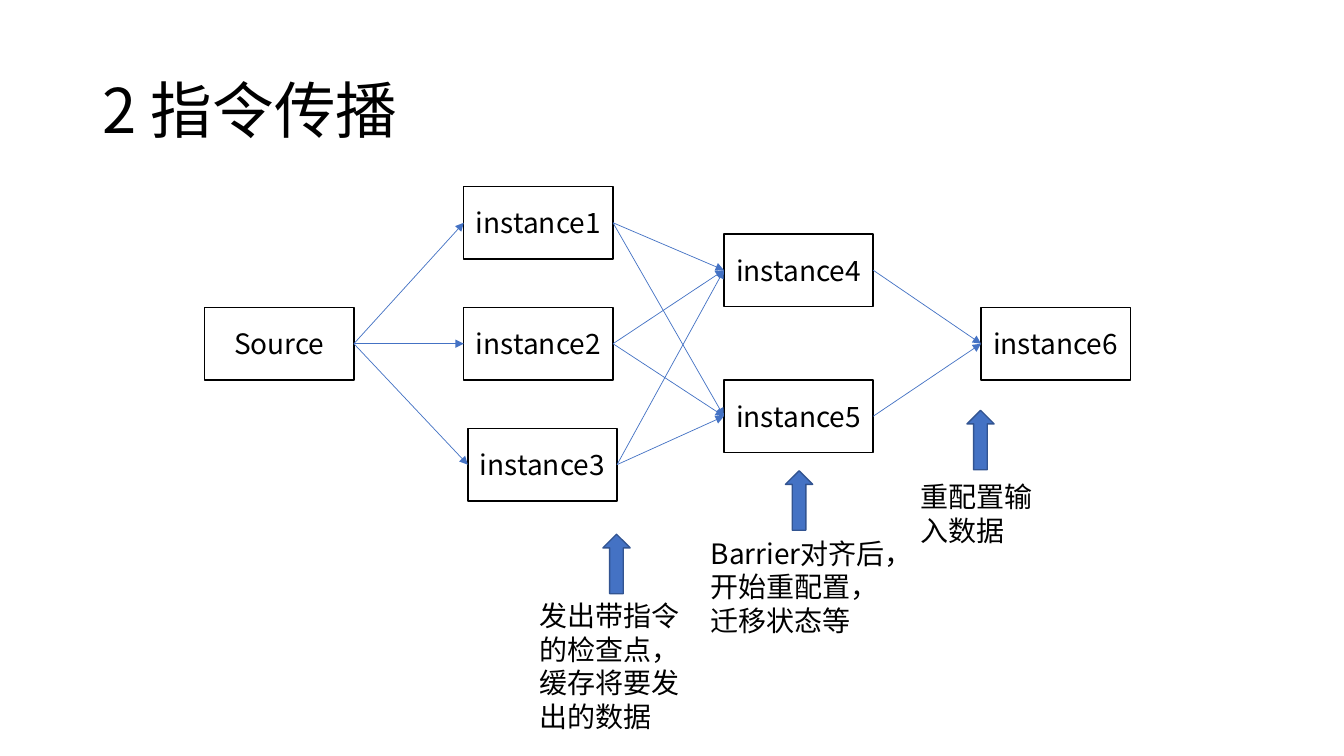
from dataclasses import dataclass

from lxml import etree
from pptx import Presentation
from pptx import util as u
from pptx.dml.color import RGBColor
from pptx.enum import shapes, text
from pptx.oxml import ns
from pptx.shapes.autoshape import Shape
from pptx.shapes.connector import Connector
from pptx.slide import Slide

FONT = "Noto Sans CJK SC"
COLORS = {"paper": "FFFFFF", "ink": "000000", "flow": "4472C4", "marker_edge": "325491"}
NODE_WIDTH, NODE_HEIGHT = 1.48, 0.72
MARKER_WIDTH, MARKER_HEIGHT = 0.27, 0.59
LEFT_SITE, RIGHT_SITE = 1, 3


@dataclass
class Node:
    label: str
    left: float
    top: float


@dataclass
class Step:
    caption: str
    left: float
    top: float
    width: float
    height: float
    marker_left: float
    marker_top: float


STAGES = [
    [Node("Source", 2.03, 3.05)],
    [Node("instance1", 4.6, 1.85), Node("instance2", 4.6, 3.05), Node("instance3", 4.64, 4.25)],
    [Node("instance4", 7.18, 2.32), Node("instance5", 7.18, 3.77)],
    [Node("instance6", 9.73, 3.05)],
]
STEPS = [
    Step("发出带指令的检查点，缓存将要发出的数据", 5.25, 5.89, 1.67, 1.43, 5.98, 5.3),
    Step("Barrier对齐后，开始重配置，迁移状态等", 6.95, 5.27, 2.06, 1.1, 7.79, 4.67),
    Step("重配置输入数据", 9.03, 4.71, 1.58, 0.77, 9.59, 4.07),
]


def color(name: str) -> RGBColor:
    return RGBColor.from_string(COLORS[name])


def write(shape: Shape, content: str, *, size: float = 20,
          align: text.PP_ALIGN = text.PP_ALIGN.LEFT,
          anchor: text.MSO_ANCHOR = text.MSO_ANCHOR.TOP, spacing: float = 1.0) -> None:
    frame = shape.text_frame
    frame.word_wrap = True
    frame.vertical_anchor = anchor
    paragraph = frame.paragraphs[0]
    paragraph.alignment = align
    paragraph.line_spacing = spacing
    run = paragraph.add_run()
    run.text = content
    run.font.size = u.Pt(size)
    run.font.name = FONT
    run.font.color.rgb = color("ink")
    etree.SubElement(run.font._element, ns.qn("a:ea"), typeface=FONT)


def add_block(slide: Slide, kind: shapes.MSO_SHAPE, left: float, top: float,
              width: float, height: float, fill: str, edge: str) -> Shape:
    block = slide.shapes.add_shape(
        kind, u.Inches(left), u.Inches(top), u.Inches(width), u.Inches(height))
    block.shadow.inherit = False
    block.fill.solid()
    block.fill.fore_color.rgb = color(fill)
    block.line.color.rgb = color(edge)
    block.line.width = u.Pt(1)
    return block


def add_node(slide: Slide, node: Node) -> Shape:
    box = add_block(slide, shapes.MSO_SHAPE.RECTANGLE, node.left, node.top,
                    NODE_WIDTH, NODE_HEIGHT, "paper", "ink")
    write(box, node.label, align=text.PP_ALIGN.CENTER, anchor=text.MSO_ANCHOR.MIDDLE)
    return box


def add_flow(slide: Slide, sender: Shape, receiver: Shape) -> Connector:
    flow = slide.shapes.add_connector(shapes.MSO_CONNECTOR.STRAIGHT, 0, 0, 0, 0)
    flow.begin_connect(sender, RIGHT_SITE)
    flow.end_connect(receiver, LEFT_SITE)
    flow.line.color.rgb = color("flow")
    flow.line.width = u.Pt(0.5)
    etree.SubElement(flow.line._get_or_add_ln(), ns.qn("a:tailEnd"), type="triangle")
    etree.SubElement(flow._element.spPr, ns.qn("a:effectLst"))
    return flow


def add_step(slide: Slide, step: Step) -> None:
    caption = slide.shapes.add_textbox(
        u.Inches(step.left), u.Inches(step.top), u.Inches(step.width), u.Inches(step.height))
    write(caption, step.caption)
    add_block(slide, shapes.MSO_SHAPE.UP_ARROW, step.marker_left, step.marker_top,
              MARKER_WIDTH, MARKER_HEIGHT, "flow", "marker_edge")


def main() -> None:
    deck = Presentation()
    deck.slide_width, deck.slide_height = u.Inches(13.33), u.Inches(7.5)
    slide = deck.slides.add_slide(deck.slide_layouts.get_by_name("Title Only"))
    slide.background.fill.solid()
    slide.background.fill.fore_color.rgb = color("paper")

    heading = slide.shapes.title
    heading.left, heading.top = u.Inches(0.92), u.Inches(0.4)
    heading.width, heading.height = u.Inches(11.5), u.Inches(1.45)
    write(heading, "2 指令传播", size=44, anchor=text.MSO_ANCHOR.MIDDLE, spacing=0.9)

    stages = [[add_node(slide, node) for node in stage] for stage in STAGES]
    for senders, receivers in zip(stages, stages[1:]):
        for receiver in receivers:
            for sender in senders:
                add_flow(slide, sender, receiver)
    for step in STEPS:
        add_step(slide, step)
    deck.save("out.pptx")


if __name__ == "__main__":
    main()
